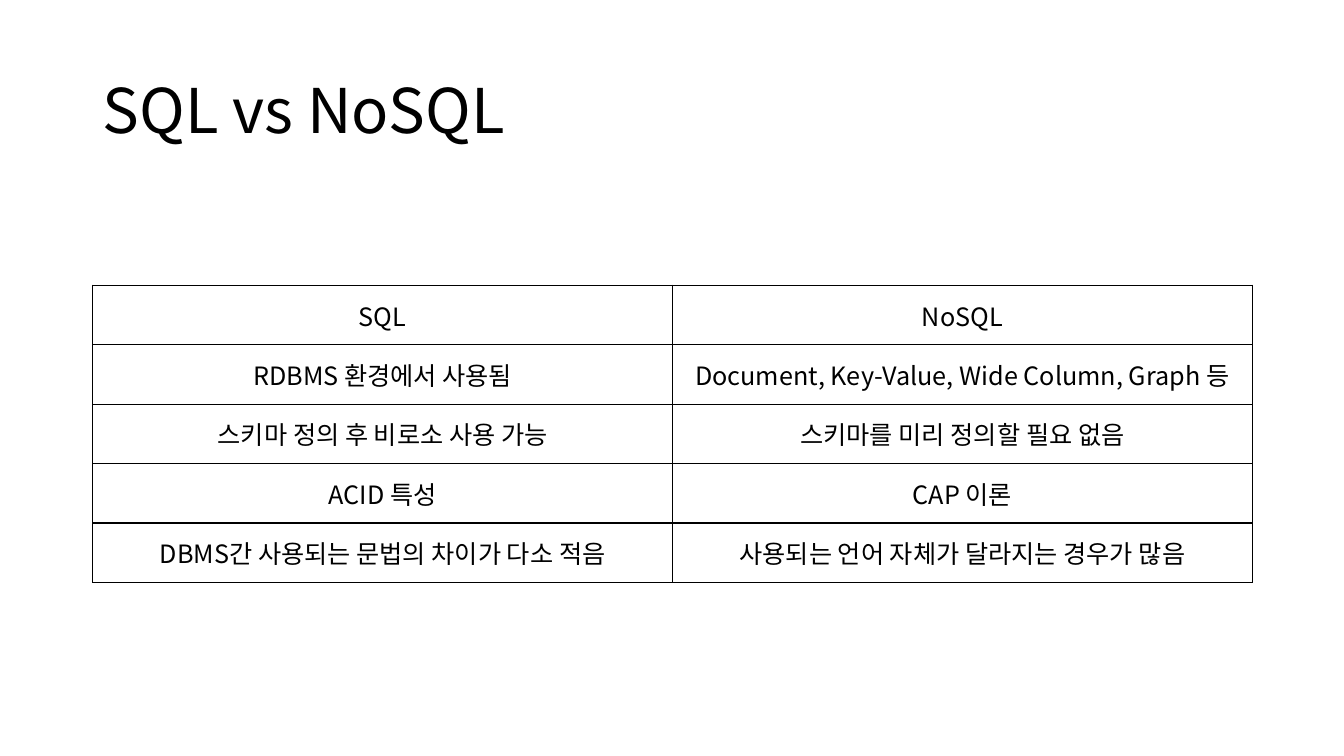
"""Build a slide that compares SQL and NoSQL in a table."""
from dataclasses import dataclass
from typing import Any

from lxml.etree import SubElement as Sub
from pptx import Presentation
from pptx.dml.color import RGBColor as Rgb
from pptx.enum.text import MSO_ANCHOR as Anchor, PP_ALIGN as Align
from pptx.oxml.ns import qn
from pptx.util import Inches, Pt

HUES = {"ink": "000000", "page": "FFFFFF"}
FACE = "Noto Sans CJK KR"
LEFT, WIDE = Inches(0.92), Inches(11.5)
ROW = Inches(0.59)


@dataclass(frozen=True)
class Style:
    font: dict[str, Any]
    para: dict[str, Any]


@dataclass(frozen=True)
class Pair:
    sql: str
    nosql: str


TITLE = Style({"name": FACE, "size": Pt(44)}, {"line_spacing": 0.9})
BODY = Style({"name": FACE, "size": Pt(18)}, {"alignment": Align.CENTER})
PAIRS = [
    Pair("SQL", "NoSQL"),
    Pair("RDBMS 환경에서 사용됨", "Document, Key-Value, Wide Column, Graph 등"),
    Pair("스키마 정의 후 비로소 사용 가능", "스키마를 미리 정의할 필요 없음"),
    Pair("ACID 특성", "CAP 이론"),
    Pair("DBMS간 사용되는 문법의 차이가 다소 적음", "사용되는 언어 자체가 달라지는 경우가 많음"),
]


def apply(item: Any, form: dict[str, Any]) -> None:
    """Set each named value on the item."""
    for name, value in form.items():
        setattr(item, name, value)


def write(frame: Any, text: str, style: Style) -> None:
    """Put one styled paragraph in a text frame."""
    para = frame.paragraphs[0]
    apply(para, style.para)
    run = para.add_run()
    run.text = text
    apply(run.font, style.font)
    run.font.color.rgb = Rgb.from_string(HUES["ink"])
    Sub(run.font._element, qn("a:ea"), typeface=FACE)


def edge(cell: Any) -> None:
    """Draw a thin line on all four sides of a cell."""
    prop = cell._tc.get_or_add_tcPr()
    for side in ("lnL", "lnR", "lnT", "lnB"):
        line = Sub(prop, qn(f"a:{side}"), w=str(Pt(1)))
        fill = Sub(line, qn("a:solidFill"))
        Sub(fill, qn("a:srgbClr"), val=HUES["ink"])


def head(slide: Any, text: str) -> None:
    """Add the slide title."""
    box = slide.shapes.add_textbox(LEFT, Inches(0.4), WIDE, Inches(1.45))
    apply(box.text_frame, {"word_wrap": True, "vertical_anchor": Anchor.MIDDLE})
    write(box.text_frame, text, TITLE)


def grid(slide: Any, pairs: list[Pair]) -> None:
    """Add the table with one row for each pair."""
    size = (WIDE, ROW * len(pairs))
    table = slide.shapes.add_table(len(pairs), 2, LEFT, Inches(2.83), *size).table
    apply(table, {"first_row": False, "horz_banding": False})
    for row, pair in zip(table.rows, pairs):
        row.height = ROW
        for cell, text in zip(row.cells, (pair.sql, pair.nosql)):
            edge(cell)
            cell.fill.solid()
            cell.fill.fore_color.rgb = Rgb.from_string(HUES["page"])
            cell.vertical_anchor = Anchor.MIDDLE
            write(cell.text_frame, text, BODY)


def main() -> None:
    """Build and save the deck."""
    deck = Presentation()
    apply(deck, {"slide_width": Inches(13.33), "slide_height": Inches(7.5)})
    slide = deck.slides.add_slide(deck.slide_layouts[6])
    head(slide, "SQL vs NoSQL")
    grid(slide, PAIRS)
    deck.save("out.pptx")


main()
